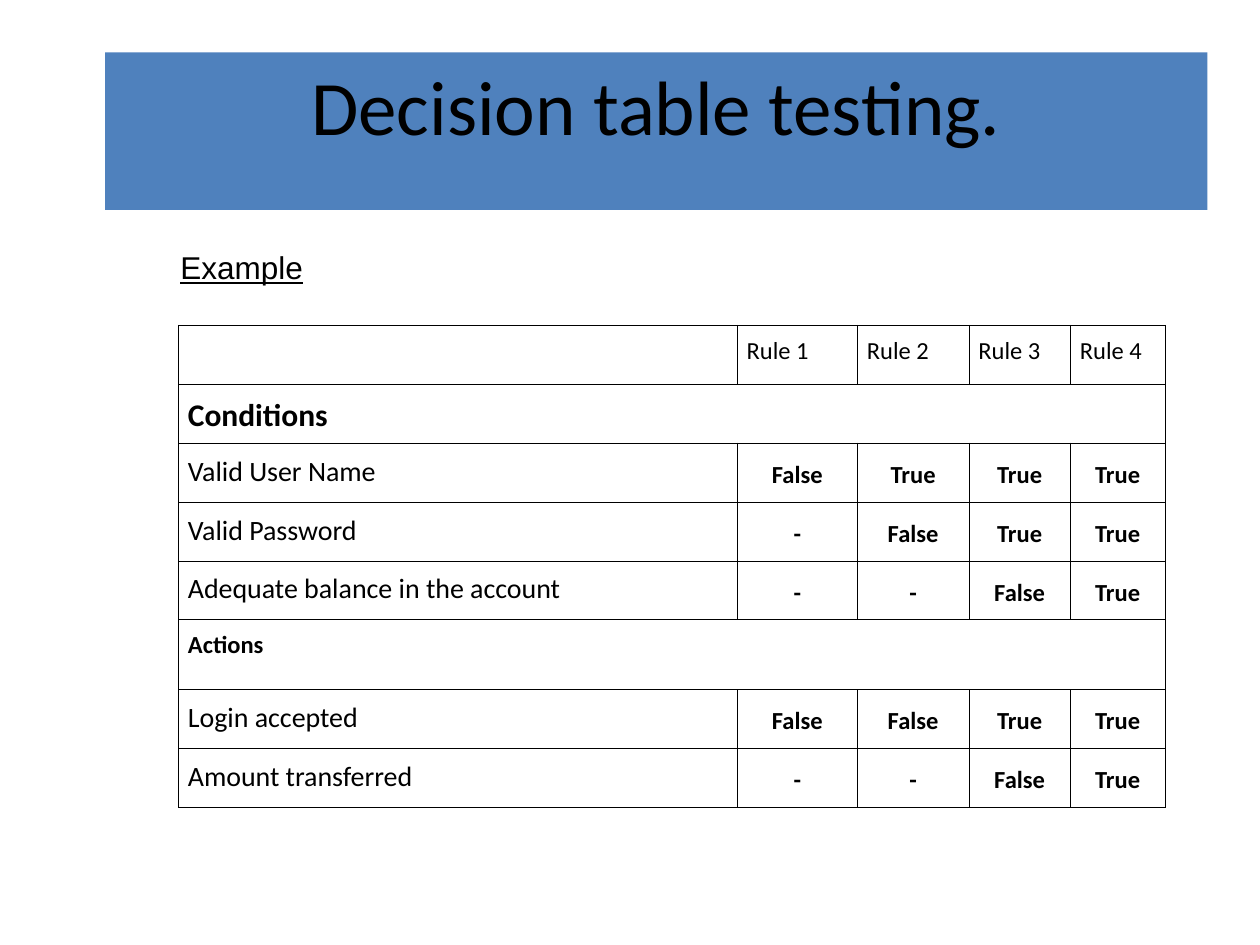
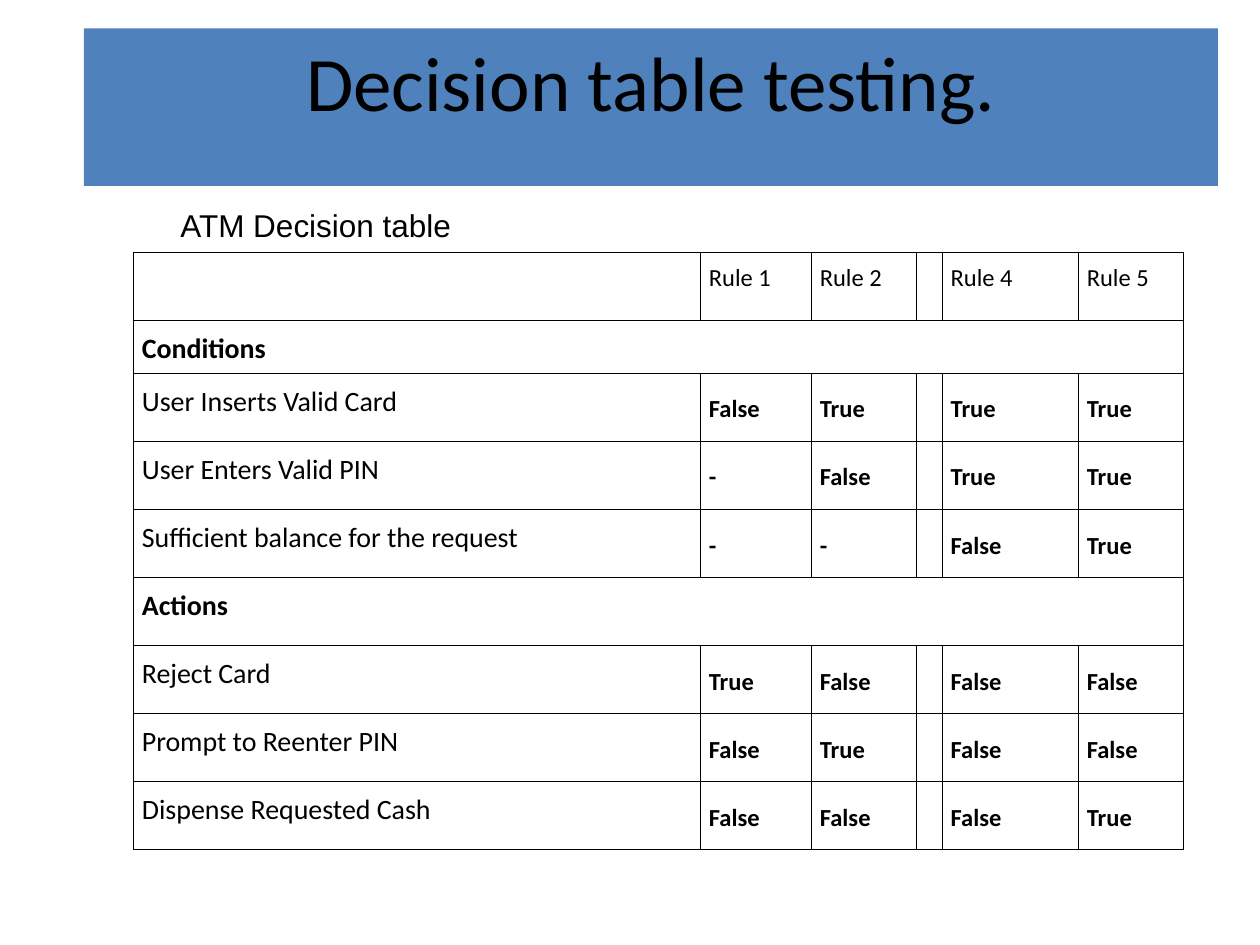
import pptx
import pptx.dml.color
import pptx.enum.text
import pptx.oxml
import pptx.oxml.ns
import pptx.util

Pt = pptx.util.Pt
ALIGN = pptx.enum.text.PP_ALIGN
ANCHOR = pptx.enum.text.MSO_ANCHOR

# Content: a row with one entry is a section heading across the table
TITLE = "Decision table testing."
SLIDES = [
    {
        "band": (60, 30, 630, 90),
        "caption": ("Example", 138, True),
        "origin": (102, 185.8),
        "columns": (319.3, 68.7, 63.7, 58, 54),
        "row_heights": {"default": 33.7, "Actions": 40},
        "section_sizes": {"Conditions": 18, "Actions": 14},
        "value_align": ALIGN.CENTER,
        "inset": 5.4,
        "space_after": 0,
        "rows": [
            ("", "Rule 1", "Rule 2", "Rule 3", "Rule 4"),
            ("Conditions",),
            ("Valid User Name", "False", "True", "True", "True"),
            ("Valid Password", "-", "False", "True", "True"),
            ("Adequate balance in the account", "-", "-", "False", "True"),
            ("Actions",),
            ("Login accepted", "False", "False", "True", "True"),
            ("Amount transferred", "-", "-", "False", "True"),
        ],
    },
    {
        "band": (48, 16.2, 648, 90),
        "caption": ("ATM Decision table", 114, False),
        "origin": (76.2, 144),
        "columns": (324, 63.4, 60.2, 14.6, 77.8, 60),
        "row_heights": {"default": 38.9, "Conditions": 30.4},
        "section_sizes": {"Conditions": 16, "Actions": 16},
        "value_align": ALIGN.LEFT,
        "inset": 4.9,
        "space_after": 10,
        "rows": [
            ("", "Rule 1", "Rule 2", "", "Rule 4", "Rule 5"),
            ("Conditions",),
            ("User Inserts Valid Card", "False", "True", "", "True", "True"),
            ("User Enters Valid PIN", "-", "False", "", "True", "True"),
            ("Sufficient balance for the request", "-", "-", "", "False", "True"),
            ("Actions",),
            ("Reject Card", "True", "False", "", "False", "False"),
            ("Prompt to Reenter PIN", "False", "True", "", "False", "False"),
            ("Dispense Requested Cash", "False", "False", "", "False", "True"),
        ],
    },
]

# Shared style
BAND_BLUE, BLACK = "4F81BD", "000000"
TABLE_FONT, CAPTION_FONT = "Calibri", "Arial"
LABEL_SIZE, VALUE_SIZE = 16, 14
BORDER_WIDTH = 0.45


def color(hex_string):
    return pptx.dml.color.RGBColor.from_string(hex_string)


def format_paragraph(paragraph, font_name, size, bold=False, align=ALIGN.LEFT):
    paragraph.alignment = align
    font = paragraph.font
    font.name, font.size, font.bold = font_name, Pt(size), bold
    font.color.rgb = color(BLACK)


def set_margins(frame, horizontal, vertical=3.6):
    frame.margin_left = frame.margin_right = Pt(horizontal)
    frame.margin_top = frame.margin_bottom = Pt(vertical)


def add_borders(cell):
    properties = cell._tc.get_or_add_tcPr()
    for index, side in enumerate(("lnL", "lnR", "lnT", "lnB")):
        properties.insert(index, pptx.oxml.parse_xml(
            f'<a:{side} {pptx.oxml.ns.nsdecls("a")} w="{int(Pt(BORDER_WIDTH))}">'
            f'<a:solidFill><a:srgbClr val="{BLACK}"/></a:solidFill></a:{side}>'))


def add_title(slide, band):
    title = slide.shapes.title
    title.left, title.top, title.width, title.height = map(Pt, band)
    title.fill.solid()
    title.fill.fore_color.rgb = color(BAND_BLUE)
    frame = title.text_frame
    frame.text = TITLE
    frame.vertical_anchor = ANCHOR.TOP
    frame.auto_size = pptx.enum.text.MSO_AUTO_SIZE.NONE
    set_margins(frame, 7.2)
    format_paragraph(frame.paragraphs[0], TABLE_FONT, 44, align=ALIGN.CENTER)


def add_caption(slide, text, top, underline):
    frame = slide.shapes.add_textbox(Pt(96), Pt(top), Pt(336), Pt(29)).text_frame
    frame.word_wrap = True
    frame.text = text
    paragraph = frame.paragraphs[0]
    format_paragraph(paragraph, CAPTION_FONT, 18)
    paragraph.font.underline = underline


def fill_cell(cell, text, content, size, bold, align=ALIGN.LEFT, anchor=ANCHOR.TOP):
    cell.text = text
    cell.vertical_anchor = anchor
    paragraph = cell.text_frame.paragraphs[0]
    format_paragraph(paragraph, TABLE_FONT, size, bold, align)
    paragraph.line_spacing = 1.15
    paragraph.space_after = Pt(content["space_after"])


def add_decision_table(slide, content):
    rows, columns = content["rows"], content["columns"]
    heights = [content["row_heights"].get(row[0], content["row_heights"]["default"])
               for row in rows]
    left, top = content["origin"]
    table = slide.shapes.add_table(len(rows), len(columns), Pt(left), Pt(top),
                                   Pt(sum(columns)), Pt(sum(heights))).table
    table.first_row = table.horz_banding = False
    for column, width in zip(table.columns, columns):
        column.width = Pt(width)
    for row, height in zip(table.rows, heights):
        row.height = Pt(height)

    for cell in table.iter_cells():
        cell.fill.background()
        set_margins(cell, content["inset"])
        add_borders(cell)

    for row_index, row in enumerate(rows):
        label = table.cell(row_index, 0)
        is_section = len(row) == 1
        if is_section:
            label.merge(table.cell(row_index, len(columns) - 1))
        label_size = content["section_sizes"].get(row[0], LABEL_SIZE)
        fill_cell(label, row[0], content, label_size, is_section)
        for column_index, value in enumerate(row[1:], start=1):
            cell = table.cell(row_index, column_index)
            if row_index == 0:
                fill_cell(cell, value, content, VALUE_SIZE, False)
            else:
                fill_cell(cell, value, content, VALUE_SIZE, True,
                          content["value_align"], ANCHOR.MIDDLE)


def main():
    presentation = pptx.Presentation()
    presentation.slide_width, presentation.slide_height = Pt(720), Pt(540)
    title_only = presentation.slide_layouts[5]
    for content in SLIDES:
        slide = presentation.slides.add_slide(title_only)
        add_title(slide, content["band"])
        add_caption(slide, *content["caption"])
        add_decision_table(slide, content)
    presentation.save("out.pptx")


if __name__ == "__main__":
    main()
